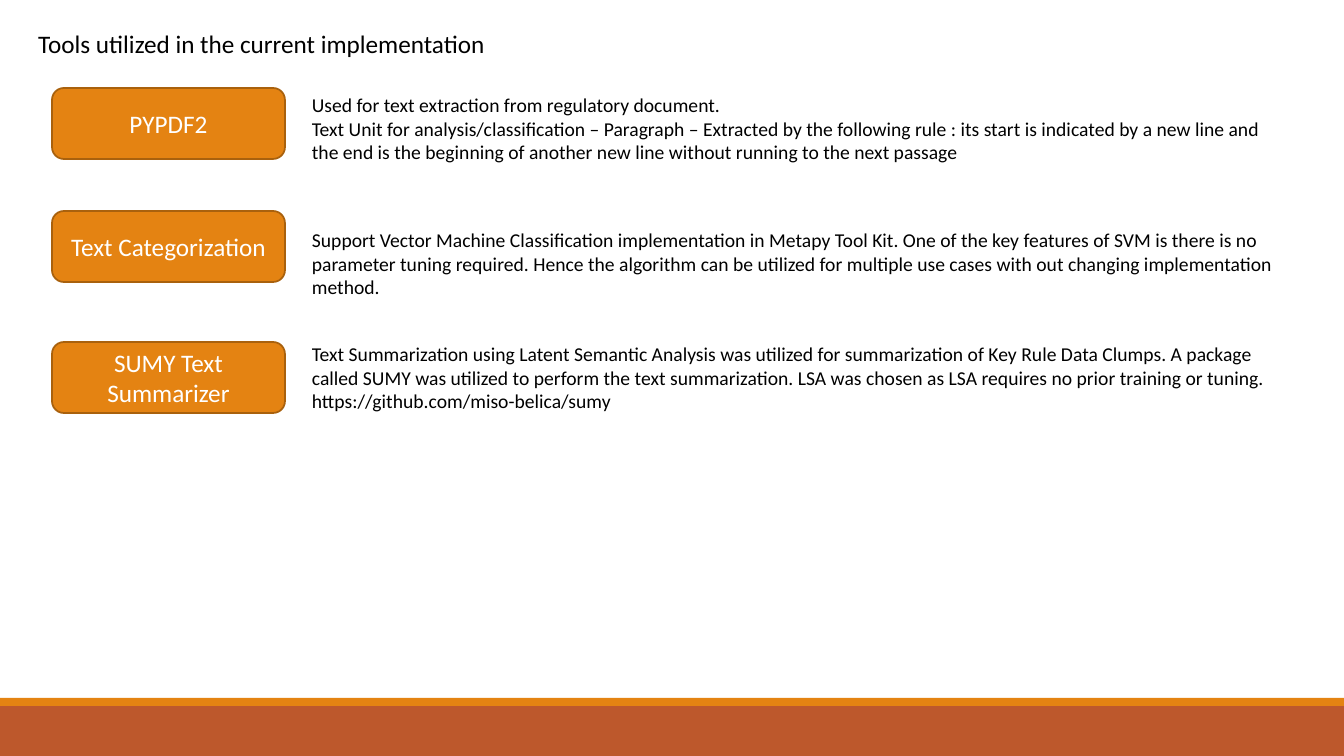
from dataclasses import dataclass

from pptx import Presentation
from pptx.dml.color import RGBColor
from pptx.enum.shapes import MSO_SHAPE as SHAPE
from pptx.enum.text import MSO_ANCHOR as ANCHOR, MSO_AUTO_SIZE as AUTO, PP_ALIGN as ALIGN
from pptx.util import Emu, Pt


@dataclass(frozen=True)
class Theme:
    font: str = "Calibri"
    orange: str = "E48312"
    outline: str = "A9610D"
    rust: str = "BD582C"
    black: str = "000000"
    white: str = "FFFFFF"
    heading: int = 18
    body: int = 14


theme = Theme()
W, H = 1344, 756


def px(*lengths):
    """Turn pixels (100.8 to the inch) into a list of EMU lengths."""
    return [Emu(round(n * 914400 / 100.8)) for n in lengths]


def write(tf, paragraphs, size, color, align=ALIGN.LEFT, anchor=ANCHOR.TOP):
    tf.word_wrap = True
    tf.auto_size = AUTO.NONE
    tf.vertical_anchor = anchor
    for i, text in enumerate(paragraphs):
        p = tf.paragraphs[0] if i == 0 else tf.add_paragraph()
        p.alignment = align
        r = p.add_run()
        r.text = text
        r.font.name = theme.font
        r.font.size = Pt(size)
        r.font.color.rgb = RGBColor.from_string(color)


prs = Presentation()
prs.slide_width, prs.slide_height = px(W, H)
s = prs.slides.add_slide(prs.slide_layouts[5])

# Footer bands
for top, height, color in [(706, 50, theme.rust), (698, 8, theme.orange)]:
    band = s.shapes.add_shape(SHAPE.RECTANGLE, *px(0, top, W, height))
    band.shadow.inherit = False
    band.fill.solid()
    band.fill.fore_color.rgb = RGBColor.from_string(color)
    band.line.fill.background()

title = s.shapes.title
title.left, title.top, title.width, title.height = px(28, 23, 470, 40)
write(title.text_frame, ["Tools utilized in the current implementation"],
      theme.heading, theme.black)

# Each tool: name, top of its box, top of its description, description
tools = [
    ("PYPDF2", 88, 88, [
        "Used for text extraction from regulatory document.",
        "Text Unit for analysis/classification – Paragraph – Extracted by the following rule : "
        "its start is indicated by a new line and the end is the beginning of another new line "
        "without running to the next passage",
    ]),
    ("Text Categorization", 211, 223, [
        "Support Vector Machine Classification implementation in Metapy Tool Kit. One of the key "
        "features of SVM is there is no parameter tuning required. Hence the algorithm can be "
        "utilized for multiple use cases with out changing implementation method.",
    ]),
    ("SUMY Text Summarizer", 342, 337, [
        "Text Summarization using Latent Semantic Analysis was utilized for summarization of Key "
        "Rule Data Clumps. A package called SUMY was utilized to perform the text summarization. "
        "LSA was chosen as LSA requires no prior training or tuning.",
        "https://github.com/miso-belica/sumy",
    ]),
]

for name, box_top, text_top, description in tools:
    box = s.shapes.add_shape(SHAPE.ROUNDED_RECTANGLE, *px(52, box_top, 233, 71))
    box.shadow.inherit = False
    box.fill.solid()
    box.fill.fore_color.rgb = RGBColor.from_string(theme.orange)
    box.line.color.rgb = RGBColor.from_string(theme.outline)
    box.line.width = Pt(1.25)
    write(box.text_frame, [name], theme.heading, theme.white, ALIGN.CENTER, ANCHOR.MIDDLE)

    tb = s.shapes.add_textbox(*px(302, text_top, 983, 82))
    write(tb.text_frame, description, theme.body, theme.black)

prs.save("out.pptx")
